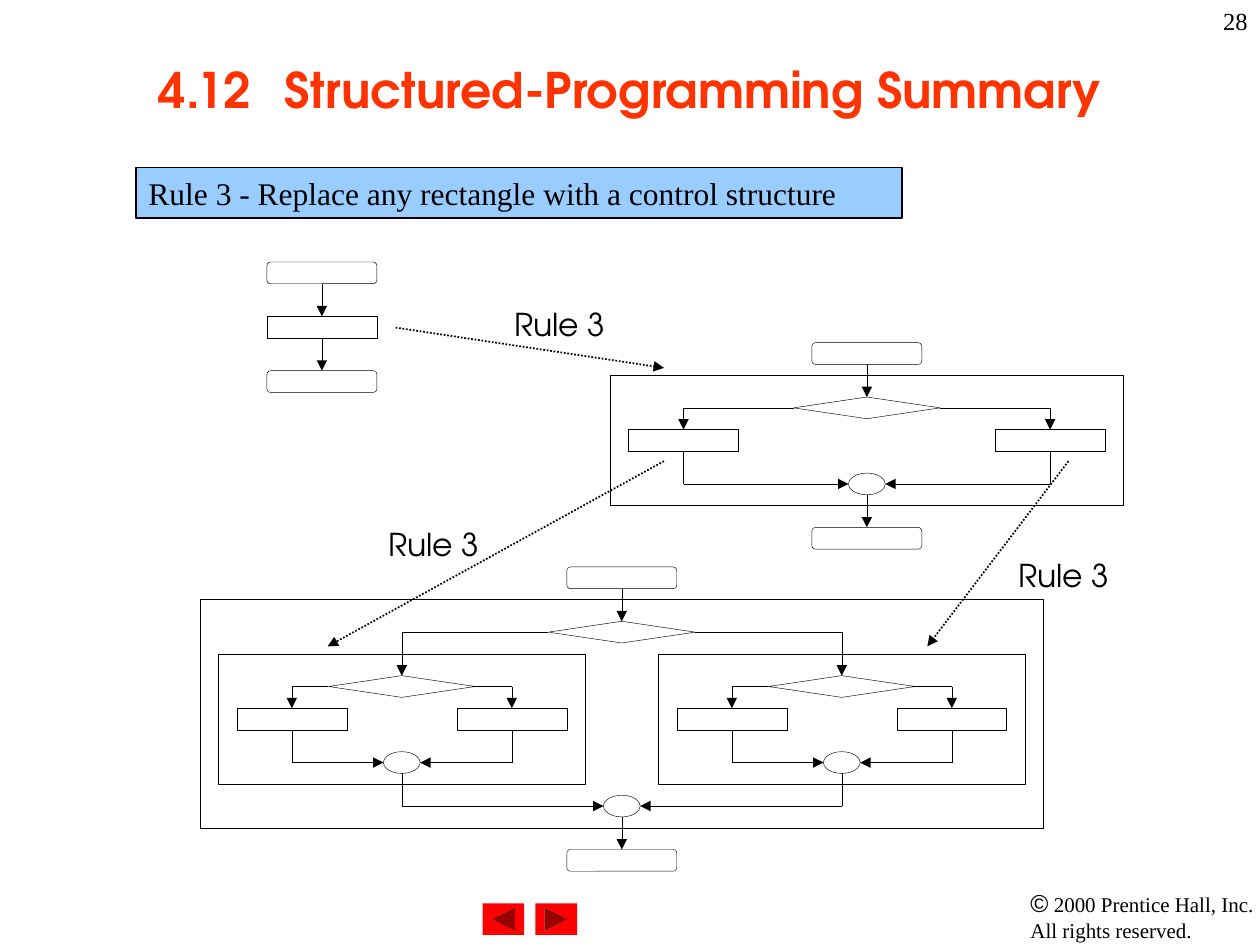
"""Build the structured-programming slide on stacking control structures by Rule 3."""
from lxml import etree
from pptx import Presentation, util as u
from pptx.dml.color import RGBColor
from pptx.enum import dml, shapes, text
from pptx.oxml import ns

WIDTH, HEIGHT = 10, 7.5
COL, ROW = WIDTH * 1.455 / 100, HEIGHT * 1.15 / 100
BLACK, WHITE = RGBColor(0, 0, 0), RGBColor(255, 255, 255)
RED, ORANGE = RGBColor(255, 0, 0), RGBColor(255, 51, 0)
SKY = RGBColor(0x99, 0xCC, 0xFF)
SERIF, SANS, DISPLAY = "Times New Roman", "Arial", "TeX Gyre Adventor"
HAIRLINE = 0.25

TITLE = "4.12\tStructured-Programming Summary"
RULE = "Rule 3 - Replace any rectangle with a control structure"
PAGE = "28"
COPYRIGHT = [("©", SANS, 14), (" 2000 Prentice Hall, Inc.\vAll rights reserved.", SERIF, 12)]
STEP = "Rule 3"
STEP_SPOTS = [(4.08, 2.42), (8.08, 4.41), (3.08, 4.17)]
STEP_ARROWS = [((3.14, 2.6), (5.27, 2.92)), ((5.27, 3.66), (2.6, 5.13)), ((8.48, 3.66), (7.36, 5.13))]

ACTION = "action"
CHOICE = {"reach": 10, "body": ACTION}
NESTED = {"reach": 12, "body": {"reach": 6, "body": ACTION}}
FLOWCHARTS = [(2.555, 2.08, ACTION), (6.88, 2.72, CHOICE), (4.935, 4.5, NESTED)]
BUTTONS = [(3.83, shapes.MSO_SHAPE.ACTION_BUTTON_BACK_OR_PREVIOUS),
           (4.25, shapes.MSO_SHAPE.ACTION_BUTTON_FORWARD_OR_NEXT)]

deck = Presentation()
deck.slide_width, deck.slide_height = u.Inches(WIDTH), u.Inches(HEIGHT)
slide = deck.slides.add_slide(deck.slide_layouts[6])


def draw(kind, left, top, width, height, fill=None, line=HAIRLINE, dash=None):
    shape = slide.shapes.add_shape(kind, *map(u.Inches, (left, top, width, height)))
    shape.shadow.inherit = False
    if fill is None:
        shape.fill.background()
    else:
        shape.fill.solid()
        shape.fill.fore_color.rgb = fill
    if line:
        shape.line.color.rgb = BLACK
        shape.line.width = u.Pt(line)
        shape.line.dash_style = dash
    else:
        shape.line.fill.background()
    return shape


def node(kind, center, top, cols, rows=2, **style):
    return draw(kind, center - cols * COL / 2, top, cols * COL, rows * ROW, **style)


def connect(start, end, arrow=False, width=HAIRLINE, dash=None):
    link = slide.shapes.add_connector(shapes.MSO_CONNECTOR.STRAIGHT, *map(u.Inches, start + end))
    link.line.color.rgb = BLACK
    link.line.width = u.Pt(width)
    link.line.dash_style = dash
    if arrow:
        etree.SubElement(link.line._get_or_add_ln(), ns.qn("a:tailEnd"), type="triangle")
    etree.SubElement(link._element.spPr, ns.qn("a:effectLst"))


def write(frame, words, font, size, color=BLACK, align=text.PP_ALIGN.LEFT,
          anchor=text.MSO_ANCHOR.TOP, wrap=True, bold=False):
    frame.word_wrap = wrap
    frame.vertical_anchor = anchor
    paragraph = frame.paragraphs[0]
    paragraph.text = words
    paragraph.alignment = align
    if "\t" in words:
        stops = etree.SubElement(paragraph._p.get_or_add_pPr(), ns.qn("a:tabLst"))
        for inch in range(8):
            etree.SubElement(stops, ns.qn("a:tab"), pos=str(u.Inches(inch)), algn="l")
    paragraph.font.name, paragraph.font.size = font, u.Pt(size)
    paragraph.font.bold, paragraph.font.color.rgb = bold, color


def textbox(left, top, width, height):
    return slide.shapes.add_textbox(*map(u.Inches, (left, top, width, height))).text_frame


def half_cols(body):
    return 3 if body == ACTION else body["reach"] + half_cols(body["body"]) + 1


def structure(body, center, top):
    """Draw a body whose slot starts at top; return the height where its exit line starts."""
    if body == ACTION:
        node(shapes.MSO_SHAPE.RECTANGLE, center, top, 6)
        return top + 2 * ROW
    decision = entry(body, top)
    node(shapes.MSO_SHAPE.DIAMOND, center, decision, 8, fill=WHITE)
    split = decision + ROW
    for side in (-1, 1):
        branch = center + side * body["reach"] * COL
        connect((center + side * 4 * COL, split), (branch, split))
        connect((branch, split), (branch, entry(body["body"], split + 2 * ROW)), arrow=True)
        leave = structure(body["body"], branch, split + 2 * ROW)
        merge = leave + 3 * ROW
        connect((branch, leave), (branch, merge))
        connect((branch, merge), (center + side * COL, merge), arrow=True)
    node(shapes.MSO_SHAPE.OVAL, center, merge - ROW, 2)
    node(shapes.MSO_SHAPE.RECTANGLE, center, top, 2 * half_cols(body),
         (merge - top) / ROW + 2, dash=dml.MSO_LINE.ROUND_DOT)
    return merge + ROW


def entry(body, top):
    return top if body == ACTION else top + 2 * ROW


def terminal(center, top):
    node(shapes.MSO_SHAPE.ROUNDED_RECTANGLE, center, top, 6).adjustments[0] = 0.17


def flowchart(center, top, body):
    terminal(center, top)
    start = top + 5 * ROW
    connect((center, top + 2 * ROW), (center, start), arrow=True)
    leave = structure(body, center, start if body == ACTION else start - 2 * ROW)
    connect((center, leave), (center, leave + 3 * ROW), arrow=True)
    terminal(center, leave + 3 * ROW)


def main():
    footer = textbox(8.08, 7, 1.92, 0.5)
    write(footer, "", SERIF, 12, wrap=False)
    footer.margin_right = 0
    for words, font, size in COPYRIGHT:
        first, *rest = words.split("\v")
        for index, part in enumerate([first] + rest):
            if index:
                footer.paragraphs[0].add_line_break()
            run = footer.paragraphs[0].add_run()
            run.text, run.font.name, run.font.size = part, font, u.Pt(size)
    for left, kind in BUTTONS:
        draw(kind, left, 7.17, 0.33, 0.25, fill=RED, line=None)

    write(textbox(7.92, 0, 2.08, 0.5), PAGE, SERIF, 14, align=text.PP_ALIGN.RIGHT)
    write(textbox(0.75, 0.08, 8.5, 1.25), TITLE, DISPLAY, 28, ORANGE,
          text.PP_ALIGN.CENTER, text.MSO_ANCHOR.MIDDLE, bold=True)
    banner = draw(shapes.MSO_SHAPE.RECTANGLE, 1.08, 1.33, 6.08, 0.4, fill=SKY, line=0.75)
    write(banner.text_frame, RULE, SERIF, 18)

    for center, top, body in FLOWCHARTS:
        flowchart(center, top, body)
    for start, end in STEP_ARROWS:
        connect(start, end, arrow=True, width=1, dash=dml.MSO_LINE.ROUND_DOT)
    for left, top in STEP_SPOTS:
        label = textbox(left, top, 0.75, 0.17)
        label.margin_left = label.margin_top = label.margin_right = label.margin_bottom = 0
        write(label, STEP, DISPLAY, 18, wrap=False)

    deck.save("out.pptx")


if __name__ == "__main__":
    main()
